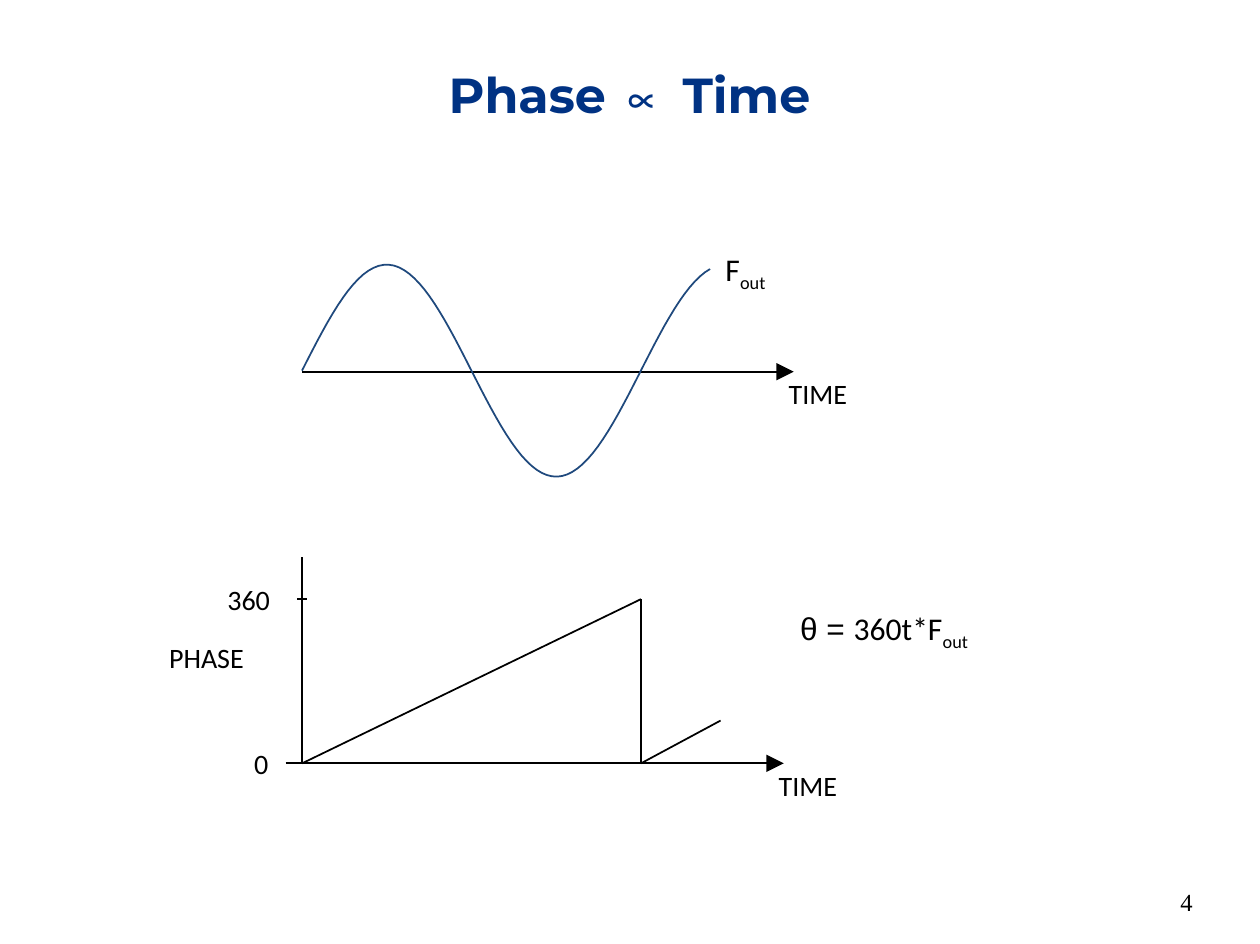
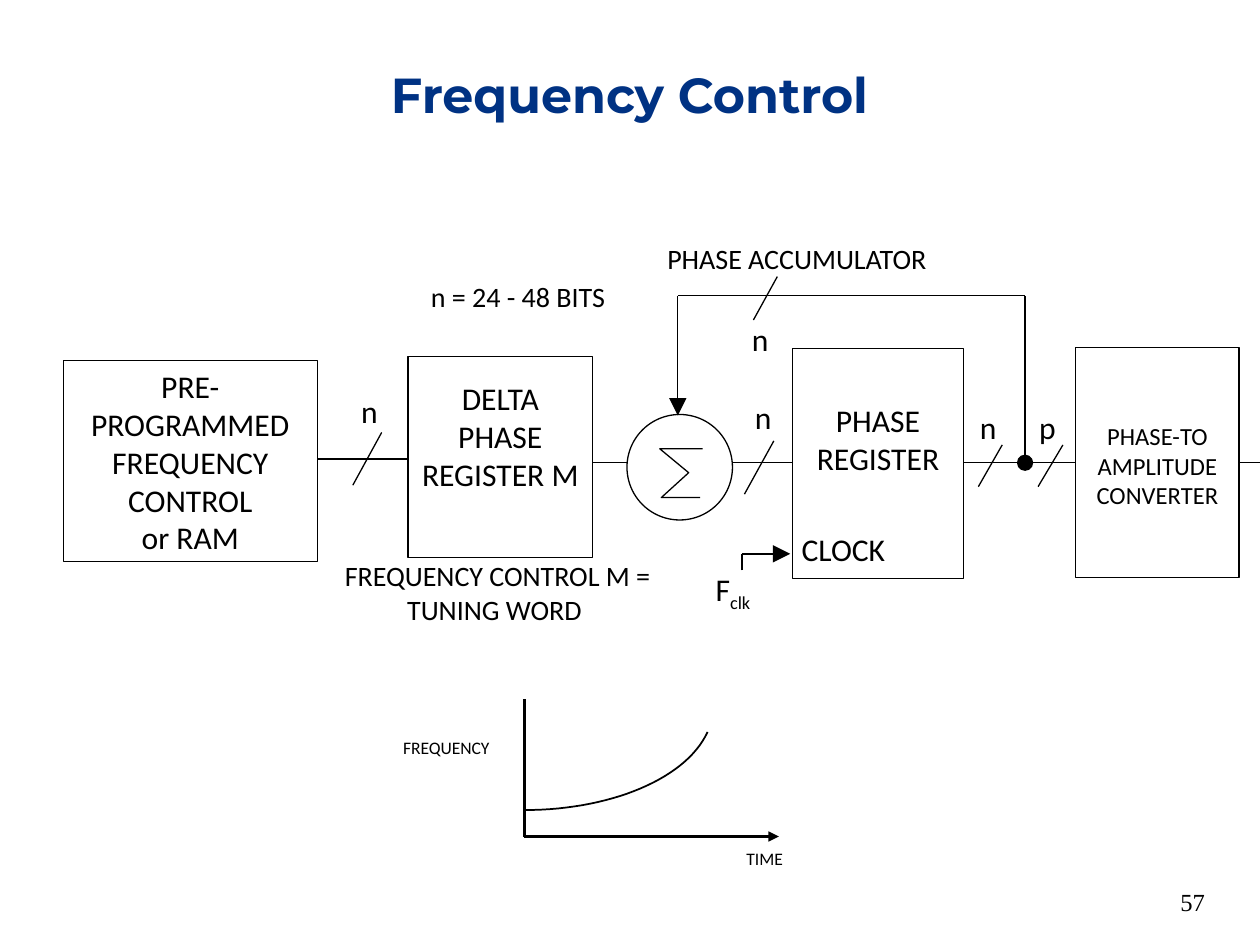
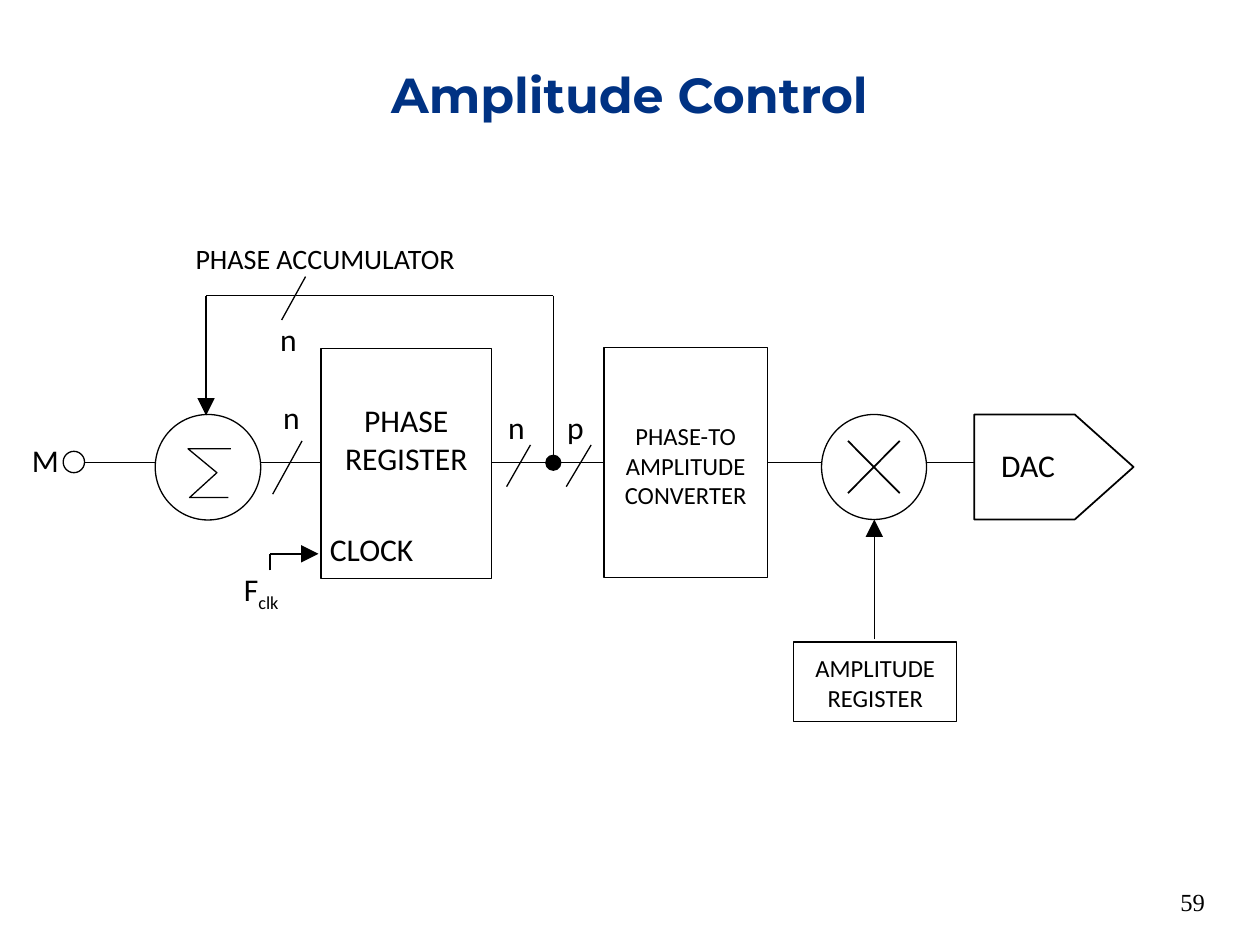
import math

from lxml import etree
from pptx import Presentation
from pptx.dml.color import RGBColor
from pptx.enum import shapes, text
from pptx.oxml import ns
from pptx.util import Cm, Pt

INK, WHITE, NAVY, WAVE = "000000", "FFFFFF", "003283", "1F497D"
BODY_FONT = "Calibri"
BUS_Y = 9.3
SHAPE = shapes.MSO_SHAPE
CENTER = text.PP_ALIGN.CENTER


def rgb(value):
    return RGBColor.from_string(value)


class Deck:
    """Holds the shared style and the slide being drawn; lengths are in cm."""

    def __init__(self):
        self.prs = Presentation()
        self.prs.slide_width, self.prs.slide_height = Cm(25.32), Cm(18.97)
        self.s = None

    def slide(self, title, number):
        self.s = self.prs.slides.add_slide(self.prs.slide_layouts[5])
        sp = self.s.shapes.title
        sp.left, sp.top, sp.width, sp.height = Cm(3.15), Cm(1.3), Cm(19), Cm(1.2)
        self.set_text(sp.text_frame, title, 28, "Montserrat", NAVY, CENTER, bold=True)
        self.label(23.72, 17.83, number, 14, w=1, font="Times New Roman")

    def set_text(self, tf, content, size, font=BODY_FONT, color=INK, align=None, bold=False):
        """Content is a string, or a list of (text, font, is_subscript) runs."""
        tf.word_wrap = True
        tf.auto_size = text.MSO_AUTO_SIZE.NONE
        tf.vertical_anchor = text.MSO_ANCHOR.TOP
        tf.margin_left = tf.margin_right = tf.margin_top = tf.margin_bottom = 0
        if isinstance(content, str):
            tf.text = content
        else:
            for part, part_font, sub in content:
                r = tf.paragraphs[0].add_run()
                r.text, r.font.name = part, part_font
                if sub:
                    r.font._element.set("baseline", "-25000")
        for p in tf.paragraphs:
            p.alignment = align
            for r in p.runs:
                r.font.size, r.font.bold = Pt(size), bold
                r.font.name = r.font.name or font
                r.font.color.rgb = rgb(color)

    def label(self, x, y, content, size=18, w=6, align=None, font=BODY_FONT):
        sp = self.s.shapes.add_textbox(Cm(x), Cm(y), Cm(w), Cm(0.8))
        self.set_text(sp.text_frame, content, size, font, align=align)

    def shape(self, kind, x, y, w, h, fill=WHITE, pt=0.75):
        sp = self.s.shapes.add_shape(kind, Cm(x), Cm(y), Cm(w), Cm(h))
        sp.shadow.inherit = False
        sp.fill.solid()
        sp.fill.fore_color.rgb = rgb(fill)
        sp.line.color.rgb, sp.line.width = rgb(INK), Pt(pt)
        return sp

    def circle(self, x, y, d, fill=WHITE):
        self.shape(SHAPE.OVAL, x, y, d, d, fill)

    def block(self, x, y, w, h, content, top, size=18):
        """Box whose centred text starts at distance top from its upper edge."""
        tf = self.shape(SHAPE.RECTANGLE, x, y, w, h).text_frame
        self.set_text(tf, content, size, align=CENTER)
        tf.margin_left = tf.margin_right = Cm(0.2)
        tf.margin_top = Cm(top)

    def wire(self, *points, pt=0.75, head=None):
        """Straight lines through the points; head is the end arrow's size."""
        for a, b in zip(points, points[1:]):
            c = self.s.shapes.add_connector(
                shapes.MSO_CONNECTOR.STRAIGHT, *(Cm(v) for v in (*a, *b)))
            c.line.color.rgb, c.line.width = rgb(INK), Pt(pt)
            etree.SubElement(c._element.spPr, ns.qn("a:effectLst"))
        if head:
            etree.SubElement(c.line._get_or_add_ln(), ns.qn("a:tailEnd"),
                             type="triangle", w=head, len=head)

    def curve(self, points, color=INK, pt=0.75):
        pts = [(Cm(x), Cm(y)) for x, y in points]
        builder = self.s.shapes.build_freeform(*pts[0])
        builder.add_line_segments(pts[1:], close=False)
        sp = builder.convert_to_shape()
        sp.shadow.inherit = False
        sp.fill.background()
        sp.line.color.rgb, sp.line.width = rgb(color), Pt(pt)

    def bus_width(self, start, end, label_at, name):
        """Slash across a wire with the name of its width in bits."""
        self.wire(start, end)
        self.label(*label_at, name, w=0.8)

    def accumulator(self, x):
        """Adder, phase register, feedback loop and converter; x is the adder's left."""
        self.block(x + 3.33, 7.01, 3.43, 4.62, "PHASE REGISTER", 1.04)
        self.label(x + 3.51, 10.64, "CLOCK", w=2.5)
        self.circle(x, 8.33, 2.12)
        self.curve([(x + dx, y) for dx, y in
                    ((1.52, 9.02), (0.66, 9.02), (1.24, 9.5), (0.69, 10), (1.47, 10))])
        self.block(x + 9.02, 6.99, 3.28, 4.62, "PHASE-TO\nAMPLITUDE\nCONVERTER", 1.47, 14)
        for x1, y1, x2, y2, lx, ly, name in (
                (2.95, 8.86, 2.36, 9.93, 2.57, 8, "n"),
                (7.54, 8.94, 7.06, 9.78, 7.09, 8.2, "n"),
                (8.76, 8.94, 8.26, 9.78, 8.28, 8.2, "p"),
                (3.02, 5.56, 2.54, 6.43, 2.51, 6.43, "n")):
            self.bus_width((x + x1, y1), (x + x2, y2), (x + lx, ly), name)
        self.circle(x + 7.85, BUS_Y - 0.15, 0.3, INK)
        self.wire((x + 8, BUS_Y), (x + 8, 5.94), (x + 1.02, 5.94), (x + 1.02, 8.35), head="lg")
        self.label(x + 0.81, 4.85, "PHASE ACCUMULATOR", 16)
        self.wire((x + 2.31, 11.46), (x + 2.31, 11.13), (x + 3.28, 11.13), pt=1, head="lg")
        self.label(x + 1.78, 11.46, with_sub("F", "clk"), w=1.6)


def with_sub(base, sub):
    return [(base, BODY_FONT, False), (sub, BODY_FONT, True)]


def sine(x, y, period, amplitude, length, steps=80):
    for i in range(steps + 1):
        dx = length * i / steps
        yield x + dx, y - amplitude * math.sin(math.tau * dx / period)


def bezier(a, b, c, d, steps=30):
    for i in range(steps + 1):
        t = i / steps
        k = 1 - t
        yield tuple(k**3 * p + 3 * k * k * t * q + 3 * k * t * t * r + t**3 * e
                    for p, q, r, e in zip(a, b, c, d))


def phase_slide(deck):
    deck.slide([("Phase ", "Montserrat", False), ("∝", "Arial", False),
                (" Time", "Montserrat", False)], "4")
    left, period, zero, full = 6.07, 6.81, 15.34, 12.04
    wrap = left + period
    deck.wire((left, 7.47), (15.95, 7.47), pt=1, head="lg")
    deck.curve(sine(left, 7.45, period, 2.13, 8.2), WAVE, 1)
    deck.label(14.58, 5.03, with_sub("F", "out"))
    deck.label(15.85, 7.57, "TIME", 16)
    deck.wire((left, zero), (left, 11.2), pt=1)
    deck.wire((left - 0.1, full), (left + 0.1, full), pt=1)
    deck.wire((5.74, zero), (15.75, zero), pt=1, head="lg")
    deck.wire((left, zero), (wrap, full), (wrap, zero), (14.48, 14.48), pt=1)
    deck.label(4.57, 11.71, "360", 16, w=1)
    deck.label(3.4, 12.88, "PHASE", 16, w=2)
    deck.label(5.11, 15, "0", 16, w=0.6)
    deck.label(15.65, 15.44, "TIME", 16)
    deck.label(16.08, 12.24, [("θ = ", "Arial", False), *with_sub("360t*F", "out")])


def frequency_slide(deck):
    deck.slide("Frequency Control", "57")
    deck.wire((11.91, BUS_Y), (25.32, BUS_Y))
    deck.accumulator(12.6)
    deck.label(8.66, 5.61, "n = 24 - 48 BITS", 16, w=4)
    deck.label(6.5, 11.23, "FREQUENCY CONTROL M = TUNING WORD ", 16, w=7, align=CENTER)
    deck.block(1.27, 7.24, 5.11, 4.04, "PRE-PROGRAMMED FREQUENCY CONTROL\nor RAM", 0.13)
    deck.block(8.2, 7.16, 3.71, 4.04, "DELTA PHASE REGISTER M", 0.46)
    deck.wire((6.38, 9.22), (8.2, 9.22), pt=1)
    deck.bus_width((7.67, 8.69), (7.09, 9.75), (7.26, 7.87), "n")
    deck.wire((10.54, 14.05), (10.54, 16.81), (15.65, 16.81), pt=1.5, head="med")
    deck.curve(bezier((10.54, 16.28), (12.27, 16.28), (13.79, 15.65), (14.22, 14.71)), pt=1)
    deck.label(15, 17.04, "TIME", 10, w=2)
    deck.label(8.1, 14.81, "FREQUENCY", 10, w=2.2)


def amplitude_slide(deck):
    deck.slide("Amplitude Control", "59")
    deck.wire((1.7, BUS_Y), (19.58, BUS_Y))
    deck.accumulator(3.12)
    deck.circle(1.27, 9.07, 0.43)
    deck.label(0.64, 8.86, "M", w=0.8)
    dac = deck.shape(SHAPE.PENTAGON, 19.58, 8.33, 3.2, 2.11, pt=1)
    dac.adjustments[0] = 0.56
    deck.label(20.12, 8.97, "DAC", w=2)
    deck.circle(16.51, 8.33, 2.11)
    deck.wire((17.04, 8.86), (18.08, 9.91), pt=1)
    deck.wire((18.08, 8.86), (17.04, 9.91), pt=1)
    deck.wire((17.57, 12.85), (17.57, 10.44), head="lg")
    deck.block(15.95, 12.9, 3.28, 1.6, "AMPLITUDE\nREGISTER", 0.23, 14)


def main():
    deck = Deck()
    phase_slide(deck)
    frequency_slide(deck)
    amplitude_slide(deck)
    deck.prs.save("out.pptx")


if __name__ == "__main__":
    main()
